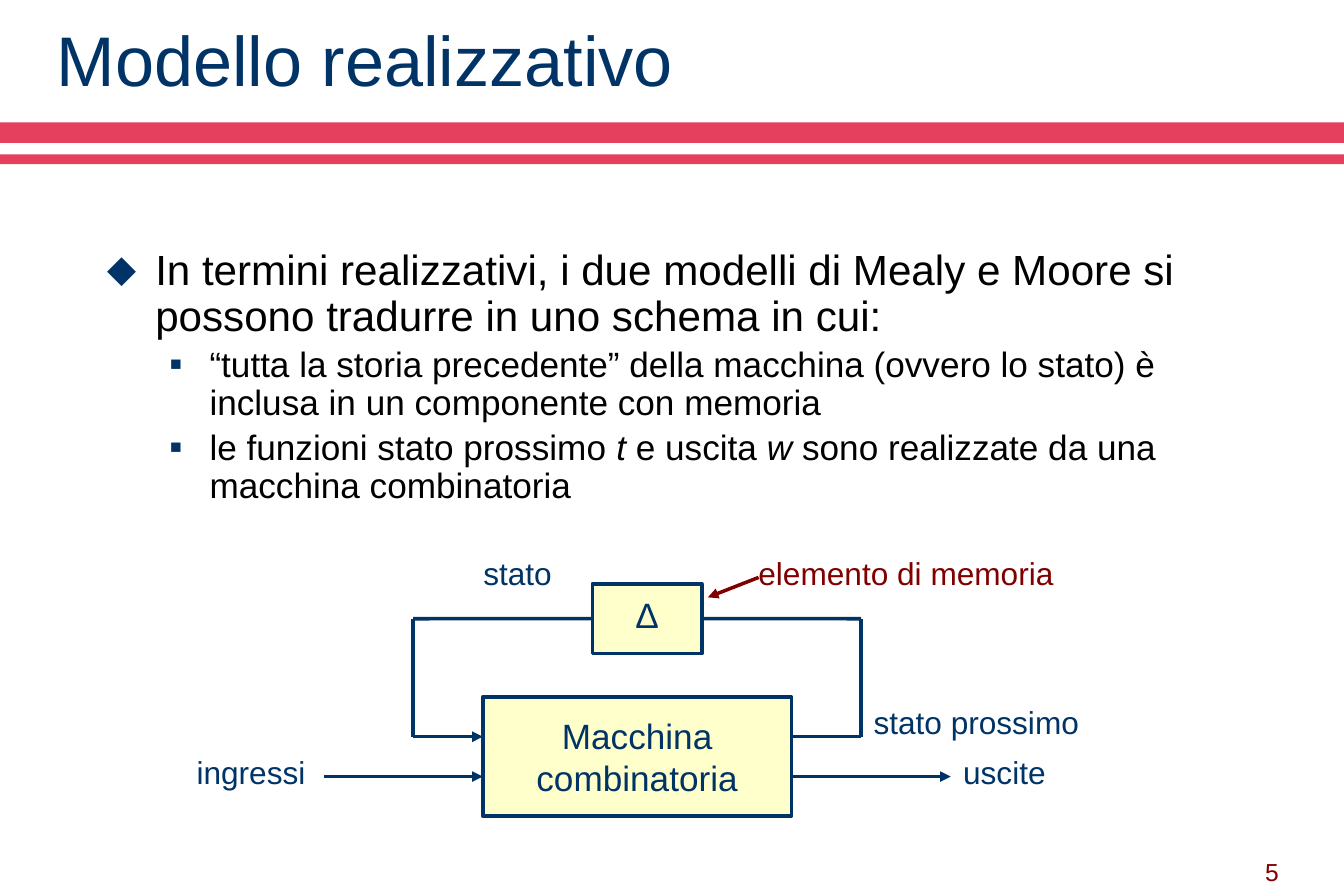
from dataclasses import dataclass

from lxml import etree
from pptx import Presentation
from pptx.dml.color import RGBColor
from pptx.enum.shapes import MSO_CONNECTOR, MSO_SHAPE
from pptx.enum.text import MSO_ANCHOR, PP_ALIGN
from pptx.oxml.ns import qn
from pptx.util import Cm, Pt

STRAIGHT = MSO_CONNECTOR.STRAIGHT
RECTANGLE = MSO_SHAPE.RECTANGLE
TOP, MIDDLE, BOTTOM = MSO_ANCHOR.TOP, MSO_ANCHOR.MIDDLE, MSO_ANCHOR.BOTTOM
LEFT, CENTER, RIGHT = PP_ALIGN.LEFT, PP_ALIGN.CENTER, PP_ALIGN.RIGHT
LEFT_SIDE, RIGHT_SIDE = 1, 3


@dataclass(frozen=True)
class Theme:
    font: str = "Arial"
    navy: str = "003366"
    maroon: str = "800000"
    black: str = "000000"
    band: str = "E5405D"
    block: str = "FFFFCC"
    title: int = 40
    body: int = 24
    detail: int = 20
    label: int = 18
    number: int = 14
    stroke: int = 2


THEME = Theme()

COLUMNS, ROWS = 27, 18
TITLE = "Modello realizzativo"
TITLE_AREA = (0.89, 0.61, 21.8, 1.4)
BODY_AREA = (1.9, 4.88, 23.5, 5.6)
NUMBER = "5"
NUMBER_AREA = (19.46, 16.74, 6.48, 1.19)
BANDS = [(2.46, 0.41), (3.1, 0.2)]

LEVELS = [
    dict(size=THEME.body, margin=0.97, hang=0.97, bullet="⬥", scale=100),
    dict(size=THEME.detail, margin=2.06, hang=0.79, bullet="■", scale=55),
]
BULLETS = [
    (0, [("In termini realizzativi, i due modelli di Mealy e Moore si possono "
          "tradurre in uno schema in cui:", False)]),
    (1, [("“tutta la storia precedente” della macchina (ovvero lo stato) è "
          "inclusa in un componente con memoria", False)]),
    (1, [("le funzioni stato prossimo ", False), ("t", True),
         (" e uscita ", False), ("w", True),
         (" sono realizzate da una macchina combinatoria", False)]),
]

MACHINE = (9.7, 14, 6.2, 2.4)
MEMORY = (11.9, 11.73, 2.2, 1.4)
LABELS = [
    ("ingressi", (3.7, 15, 3, 1), LEFT, THEME.navy),
    ("uscite", (19.1, 15, 3, 1), LEFT, THEME.navy),
    ("elemento di memoria", (14.7, 11, 7, 1), CENTER, THEME.maroon),
    ("stato", (6.9, 11, 7, 1), CENTER, THEME.navy),
    ("stato prossimo", (17.3, 14, 7, 1), LEFT, THEME.navy),
]
LOOP_GAP, SIGNAL_LENGTH = 1.4, 3.2
STATE_ROW, SIGNAL_ROW = 14.8, 15.6
POINTER = ((15.24, 11.6), (14.22, 12))


def style(font, size, color):
    font.name = THEME.font
    font.size = Pt(size)
    font.color.rgb = RGBColor.from_string(color)


def add_rectangle(page, area, fill, outline=None):
    shape = page.shapes.add_shape(RECTANGLE, *map(Cm, area))
    shape.shadow.inherit = False
    shape.fill.solid()
    shape.fill.fore_color.rgb = RGBColor.from_string(fill)
    if outline:
        shape.line.color.rgb = RGBColor.from_string(outline)
        shape.line.width = Pt(THEME.stroke)
    else:
        shape.line.fill.background()
    return shape


def write(shape, text, size, color, align=LEFT, anchor=TOP):
    frame = shape.text_frame
    frame.word_wrap = True
    frame.vertical_anchor = anchor
    para = frame.paragraphs[0]
    para.text = text
    para.alignment = align
    style(para.font, size, color)
    return para


def add_text(page, area, *content):
    return write(page.shapes.add_textbox(*map(Cm, area)), *content)


def add_block(page, area, text):
    block = add_rectangle(page, area, THEME.block, THEME.navy)
    write(block, text, THEME.detail, THEME.navy, CENTER, MIDDLE)
    return block


def add_line(page, start, end, color=THEME.navy, arrow=False):
    line = page.shapes.add_connector(STRAIGHT, *map(Cm, (*start, *end)))
    line.line.color.rgb = RGBColor.from_string(color)
    line.line.width = Pt(THEME.stroke)
    if arrow:
        etree.SubElement(line.line._get_or_add_ln(), qn("a:tailEnd"), type="triangle")
    etree.SubElement(line._element.spPr, qn("a:effectLst"))
    return line


def add_bullets(page):
    frame = page.shapes.add_textbox(*map(Cm, BODY_AREA)).text_frame
    frame.word_wrap = True
    for index, (depth, pieces) in enumerate(BULLETS):
        level = LEVELS[depth]
        para = frame.paragraphs[0] if index == 0 else frame.add_paragraph()
        para.level = depth
        para.line_spacing = 0.9
        if index:
            para.space_before = Pt(0.2 * level["size"])
        props = para._p.get_or_add_pPr()
        props.set("marL", str(Cm(level["margin"])))
        props.set("indent", str(-Cm(level["hang"])))
        tint = etree.SubElement(props, qn("a:buClr"))
        etree.SubElement(tint, qn("a:srgbClr"), val=THEME.navy)
        etree.SubElement(props, qn("a:buSzPct"), val=str(level["scale"] * 1000))
        etree.SubElement(props, qn("a:buFont"), typeface=THEME.font)
        etree.SubElement(props, qn("a:buChar"), char=level["bullet"])
        style(para.font, level["size"], THEME.black)
        for text, italic in pieces:
            span = para.add_run()
            span.text = text
            if italic:
                span.font.italic = True


def add_diagram(page):
    left, right = MACHINE[0], MACHINE[0] + MACHINE[2]
    loop_left, loop_right = left - LOOP_GAP, right + LOOP_GAP
    memory_left, memory_right = MEMORY[0], MEMORY[0] + MEMORY[2]
    loop_row = MEMORY[1] + MEMORY[3] / 2

    add_block(page, MACHINE, "Macchina combinatoria")
    memory = add_block(page, MEMORY, "Δ")
    memory.text_frame.margin_bottom = Cm(0.28)

    add_line(page, (right, STATE_ROW), (loop_right, STATE_ROW))
    add_line(page, (loop_right, STATE_ROW), (loop_right, loop_row))
    feed = add_line(page, (loop_right, loop_row), (memory_right, loop_row))
    feed.end_connect(memory, RIGHT_SIDE)
    state = add_line(page, (memory_left, loop_row), (loop_left, loop_row))
    state.begin_connect(memory, LEFT_SIDE)
    add_line(page, (loop_left, loop_row), (loop_left, STATE_ROW))
    add_line(page, (loop_left, STATE_ROW), (left, STATE_ROW), arrow=True)
    for start in (left - SIGNAL_LENGTH, right):
        add_line(page, (start, SIGNAL_ROW), (start + SIGNAL_LENGTH, SIGNAL_ROW), arrow=True)
    add_line(page, *POINTER, color=THEME.maroon, arrow=True)

    for text, area, align, color in LABELS:
        add_text(page, area, text, THEME.label, color, align)


def main():
    deck = Presentation()
    deck.slide_width, deck.slide_height = Cm(COLUMNS), Cm(ROWS)
    page = deck.slides.add_slide(deck.slide_layouts[6])
    for top, height in BANDS:
        add_rectangle(page, (0, top, COLUMNS, height), THEME.band)
    add_text(page, NUMBER_AREA, NUMBER, THEME.number, THEME.maroon, RIGHT, BOTTOM)
    title = add_text(page, TITLE_AREA, TITLE, THEME.title, THEME.navy, LEFT, MIDDLE)
    title.line_spacing = 0.85
    add_bullets(page)
    add_diagram(page)
    deck.save("out.pptx")


if __name__ == "__main__":
    main()
